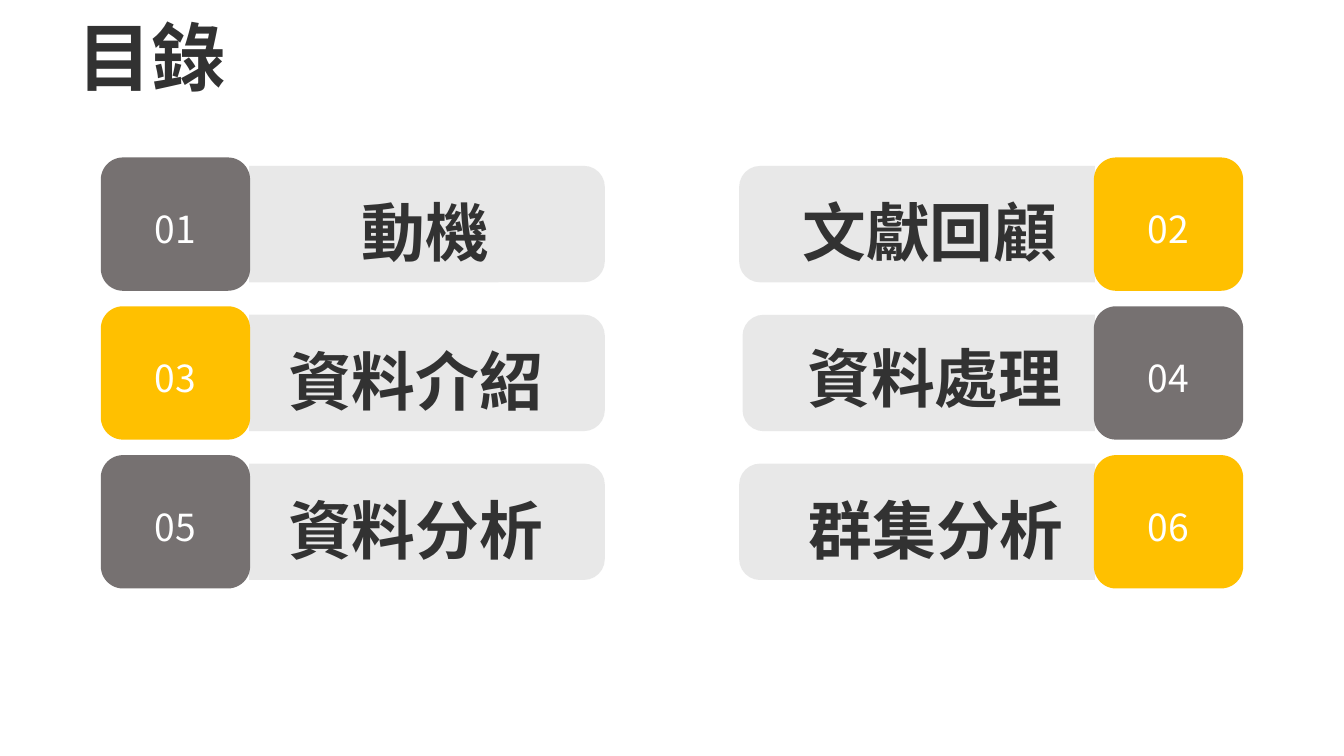
import pptx
import pptx.dml.color
import pptx.enum.shapes
import pptx.enum.text
import pptx.oxml.ns
import pptx.util
from lxml import etree

RGB = pptx.dml.color.RGBColor
GRAY = RGB(0x76, 0x71, 0x71)
GOLD = RGB(0xFF, 0xC0, 0x00)
PALE = RGB(0xE6, 0xE6, 0xE6)
DARK = RGB(0x32, 0x32, 0x32)
WHITE = RGB(0xFF, 0xFF, 0xFF)
FACE = "Noto Sans CJK SC"
SHAPE = pptx.enum.shapes.MSO_SHAPE
ALIGN = pptx.enum.text.PP_ALIGN
ANCHOR = pptx.enum.text.MSO_ANCHOR
PT = pptx.util.Pt

WIDE = pptx.util.Inches(13.333)
HIGH = pptx.util.Inches(7.5)
COLS = 80
EDGE = 6
TOP = 9.37
STEP = 8.86
TILE_W, TILE_H = 8.89, 7.94
BAR_X, BAR_H = 14.83, 6.93
LABEL_W, LABEL_H = 16.8, 5.5

TOPICS = [
    ("動機", 21.54, 1.2, 36),
    ("文獻回顧", 62.94, 1.2, 36),
    ("資料介紹", 17.16, 1.2, 36),
    ("資料處理", 63.24, 1.02, 35.8),
    ("資料分析", 17.16, 1.2, 36),
    ("群集分析", 63.3, 1.2, 36),
]


def grid(*cells):
    return [round(cell * WIDE / COLS) for cell in cells]


def write(shape, text, size, color, align, anchor, bold=False):
    frame = shape.text_frame
    frame.word_wrap = True
    frame.vertical_anchor = anchor
    frame.margin_left = frame.margin_right = 0
    frame.margin_top = frame.margin_bottom = 0
    frame.text = text
    para = frame.paragraphs[0]
    para.alignment = align
    font = para.font
    font.size = PT(size)
    font.bold = bold
    font.color.rgb = color
    font.name = FACE
    east = etree.SubElement(font._rPr, pptx.oxml.ns.qn("a:ea"))
    east.set("typeface", FACE)
    return para


def block(group, kind, color, cells):
    shape = group.shapes.add_shape(kind, *grid(*cells))
    shape.shadow.inherit = False
    shape.fill.solid()
    shape.fill.fore_color.rgb = color
    shape.line.fill.background()
    return shape


def bar(group, row, end, right):
    wide = end - BAR_X
    mid = (end + BAR_X) / 2
    mid = COLS - mid if right else mid
    y = row + TILE_H / 2 - wide / 2
    shape = block(group, SHAPE.ROUND_2_SAME_RECTANGLE, PALE,
                  (mid - BAR_H / 2, y, BAR_H, wide))
    shape.rotation = 270 if right else 90
    shape.adjustments[0] = 0.18
    tint = shape.fill._xPr.find(".//" + pptx.oxml.ns.qn("a:srgbClr"))
    etree.SubElement(tint, pptx.oxml.ns.qn("a:alpha")).set("val", "90000")


def label(group, text, x, y, right):
    left = x - LABEL_W if right else x
    shape = group.shapes.add_textbox(*grid(left, y, LABEL_W, LABEL_H))
    align = ALIGN.RIGHT if right else ALIGN.LEFT
    para = write(shape, text, 45.5, DARK, align, ANCHOR.TOP, True)
    para.line_spacing = 1.2
    para.space_before = PT(9.1)


def tile(group, text, color, row, right):
    left = COLS - EDGE - TILE_W if right else EDGE
    shape = block(group, SHAPE.ROUNDED_RECTANGLE, color,
                  (left, row, TILE_W, TILE_H))
    para = write(shape, text, 26.6, WHITE, ALIGN.CENTER, ANCHOR.MIDDLE)
    para.line_spacing = 1.2
    para.space_after = PT(9.3)


def title(slide, text):
    shape = slide.shapes.title
    shape.left, shape.top, shape.width, shape.height = grid(4.6, 0.68, 14.4, 5.34)
    para = write(shape, text, 53.1, DARK, ALIGN.LEFT, ANCHOR.MIDDLE, True)
    para.line_spacing = 1.0
    para.space_before = PT(0)


def main():
    deck = pptx.Presentation()
    deck.slide_width, deck.slide_height = WIDE, HIGH
    slide = deck.slides.add_slide(deck.slide_layouts[5])
    title(slide, "目錄")
    for i, (text, x, drop, end) in enumerate(TOPICS):
        line, right = divmod(i, 2)
        row = TOP + line * STEP
        color = GOLD if (line + right) % 2 else GRAY
        group = slide.shapes.add_group_shape()
        bar(group, row, end, right)
        label(group, text, x, row + drop, right)
        tile(group, f"{i + 1:02}", color, row, right)
    deck.save("out.pptx")


if __name__ == "__main__":
    main()
